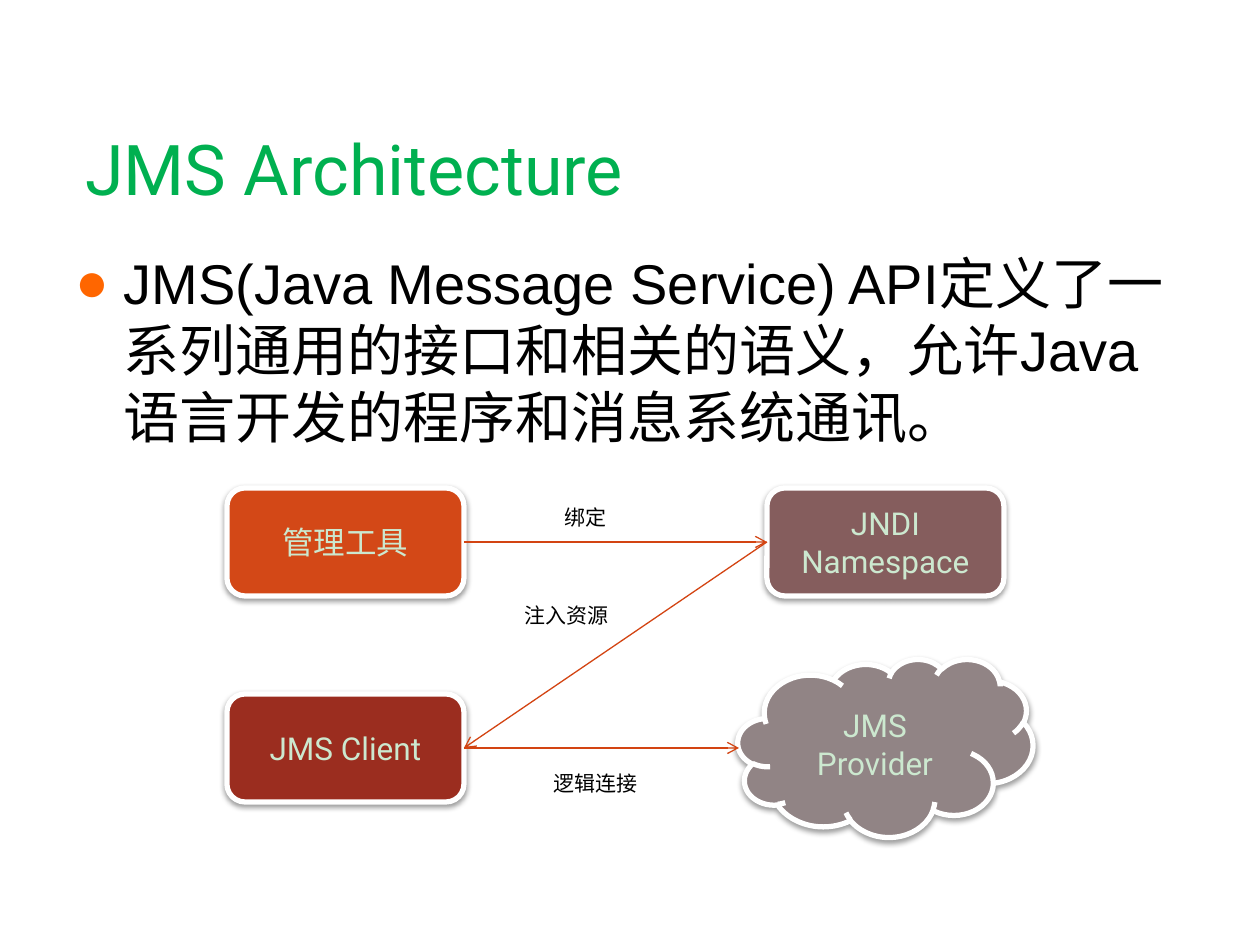
from lxml import etree
from pptx import Presentation, util as u
from pptx.dml.color import RGBColor
from pptx.enum import shapes, text
from pptx.oxml import parse_xml
from pptx.oxml.ns import nsdecls, qn

PX = 914400 // 126

WHITE = RGBColor(0xFF, 0xFF, 0xFF)
BLACK = RGBColor(0x00, 0x00, 0x00)
GREEN = RGBColor(0x00, 0xB0, 0x50)
MINT = RGBColor(0xCC, 0xE8, 0xCF)
ORANGE = RGBColor(0xD3, 0x48, 0x17)
RED = RGBColor(0x9B, 0x2D, 0x1F)
MAUVE = RGBColor(0x85, 0x5D, 0x5D)
GREY = RGBColor(0x91, 0x84, 0x85)
ARROW = RGBColor(0xD3, 0x44, 0x12)
BULLET = RGBColor(0xFF, 0x66, 0x00)

ROUND = shapes.MSO_SHAPE.ROUNDED_RECTANGLE
CLOUD = shapes.MSO_SHAPE.CLOUD
LEFT_SIDE, RIGHT_SIDE = 1, 3


def px(*lengths):
    return [length * PX for length in lengths]


def write(frame, words, size, color, font="Roboto", align=None, **frame_format):
    """Put one formatted paragraph in a text frame and return the paragraph."""
    for key, value in {"word_wrap": True, **frame_format}.items():
        setattr(frame, key, value)
    paragraph = frame.paragraphs[0]
    paragraph.alignment = align
    run = paragraph.add_run()
    run.text = words
    for key, value in {"name": font, "size": u.Pt(size)}.items():
        setattr(run.font, key, value)
    run.font.color.rgb = color
    return paragraph


def add_label(slide, box, words, size, color, **options):
    label = slide.shapes.add_textbox(*px(*box))
    return write(label.text_frame, words, size, color, **options)


def add_title(slide, box):
    add_label(slide, box, "JMS Architecture", 40, GREEN,
              vertical_anchor=text.MSO_ANCHOR.MIDDLE)


def add_definition(slide, box):
    paragraph = add_label(
        slide, box,
        "JMS(Java Message Service) API定义了一系列通用的接口和相关的语义，"
        "允许Java语言开发的程序和消息系统通讯。",
        32, BLACK, font="Arial")
    properties = paragraph._p.get_or_add_pPr()
    indent = 48 * PX
    properties.set("marL", str(indent))
    properties.set("indent", str(-indent))
    color = etree.SubElement(properties, qn("a:buClr"))
    etree.SubElement(color, qn("a:srgbClr"), val=str(BULLET))
    etree.SubElement(properties, qn("a:buFont"), typeface="Arial")
    etree.SubElement(properties, qn("a:buChar"), char="●")


def add_node(slide, kind, box, words, fill):
    node = slide.shapes.add_shape(kind, *px(*box))
    node.fill.solid()
    node.fill.fore_color.rgb = fill
    node.line.color.rgb = WHITE
    node.line.width = u.Pt(3)
    node._element.spPr.append(parse_xml(
        f'<a:effectLst {nsdecls("a")}>'
        '<a:outerShdw blurRad="39370" dist="20320" dir="5400000" rotWithShape="0">'
        '<a:srgbClr val="000000"><a:alpha val="38000"/></a:srgbClr>'
        '</a:outerShdw></a:effectLst>'))
    write(node.text_frame, words, 18, MINT, align=text.PP_ALIGN.CENTER,
          vertical_anchor=text.MSO_ANCHOR.MIDDLE)
    return node


def add_arrow(slide, start, end, source, target=None):
    """Draw an arrow from a side of source to a side of target, or to end."""
    arrow = slide.shapes.add_connector(
        shapes.MSO_CONNECTOR.STRAIGHT, *px(*start, *end))
    arrow.begin_connect(*source)
    if target:
        arrow.end_connect(*target)
    arrow.line.color.rgb = ARROW
    arrow.line.width = u.Pt(0.75)
    etree.SubElement(arrow.line._get_or_add_ln(), qn("a:tailEnd"), type="arrow")
    etree.SubElement(arrow._element.spPr, qn("a:effectLst"))


def add_architecture(slide, box):
    left, top, width, height = box
    node_w, node_h = 237, 108
    right, lower = left + 540, top + 206
    cloud_w, cloud_h = 295, 178
    cloud_left = left + width - cloud_w
    upper_mid, lower_mid = top + node_h // 2, lower + node_h // 2

    tool = add_node(slide, ROUND, (left, top, node_w, node_h), "管理工具", ORANGE)
    client = add_node(slide, ROUND, (left, lower, node_w, node_h), "JMS Client", RED)
    jndi = add_node(slide, ROUND, (right, top, node_w, node_h), "JNDI Namespace", MAUVE)
    add_node(slide, CLOUD, (cloud_left, top + height - cloud_h, cloud_w, cloud_h),
             "JMS Provider", GREY)

    tool_end = (left + node_w, upper_mid)
    client_end = (left + node_w, lower_mid)
    jndi_end = (right, upper_mid)
    add_arrow(slide, tool_end, jndi_end, (tool, RIGHT_SIDE), (jndi, LEFT_SIDE))
    add_arrow(slide, jndi_end, client_end, (jndi, LEFT_SIDE), (client, RIGHT_SIDE))
    add_arrow(slide, client_end, (cloud_left + 1, lower_mid), (client, RIGHT_SIDE))

    for words, x, y, label_w in (("绑定", 325, 10, 68),
                                 ("注入资源", 285, 108, 118),
                                 ("逻辑连接", 314, 276, 118)):
        add_label(slide, (left + x, top + y, label_w, 38), words, 12, BLACK)


def main():
    deck = Presentation()
    deck.slide_width, deck.slide_height = px(1260, 945)
    slide = deck.slides.add_slide(deck.slide_layouts[6])
    slide.background.fill.solid()
    slide.background.fill.fore_color.rgb = WHITE
    add_title(slide, (73, 126, 1124, 84))
    add_definition(slide, (63, 242, 1134, 602))
    add_architecture(slide, (227, 488, 806, 349))
    deck.save("out.pptx")


if __name__ == "__main__":
    main()
